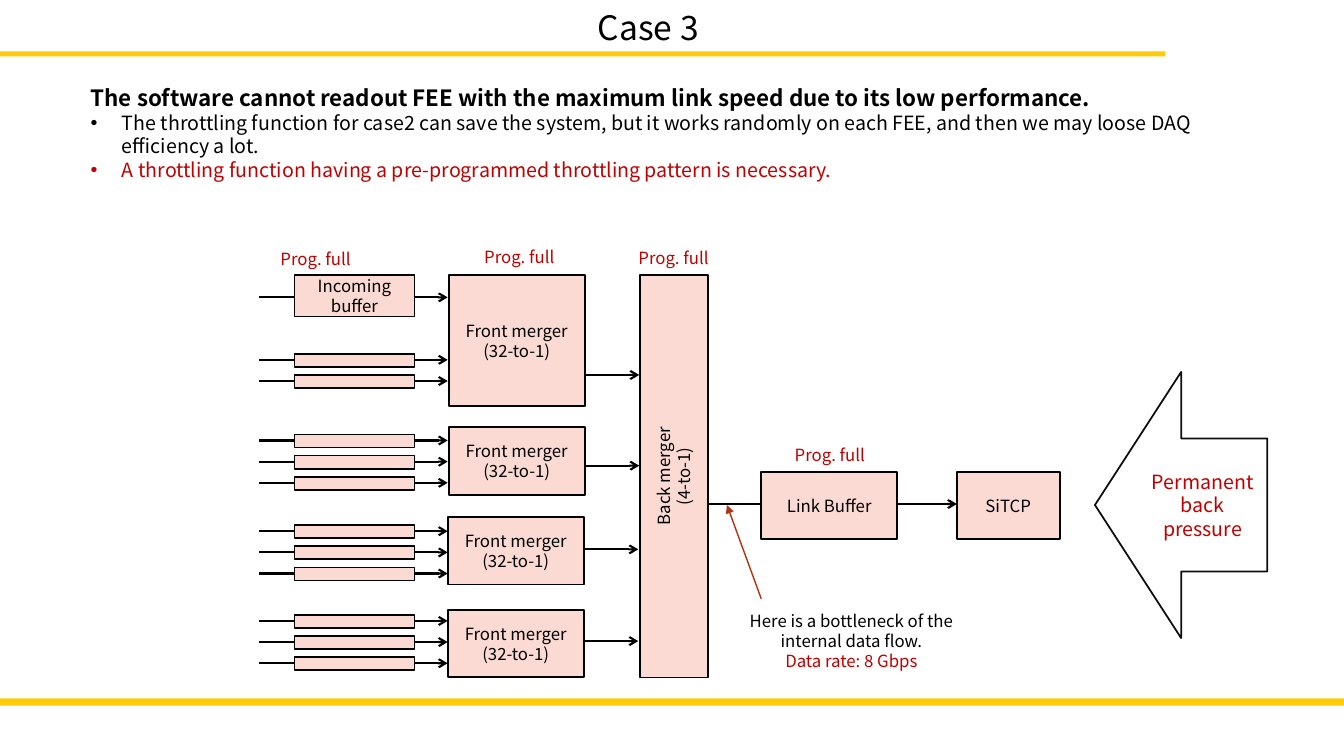
from lxml.etree import SubElement
from pptx import Presentation
from pptx.dml.color import RGBColor
from pptx.enum.shapes import MSO_CONNECTOR, MSO_SHAPE
from pptx.enum.text import MSO_ANCHOR, MSO_AUTO_SIZE, PP_ALIGN
from pptx.oxml.ns import qn
from pptx.util import Inches, Pt

BLACK, RED, PINK, GOLD = "000000", "C00000", "FADAD3", "FFCA08"


def tint(code):
    return RGBColor.from_string(code)


def apply(thing, values):
    for name, value in values.items():
        setattr(thing, name, value)


class Board:
    font = "Noto Sans CJK JP"

    def __init__(self, slide):
        self.slide = slide
        self.shapes = slide.shapes

    def fill_text(self, shape, lines, size=12, color=BLACK,
                  align=PP_ALIGN.CENTER, anchor=MSO_ANCHOR.TOP):
        frame = shape.text_frame
        apply(frame, {"word_wrap": True, "auto_size": MSO_AUTO_SIZE.NONE,
                      "vertical_anchor": anchor,
                      "margin_left": Inches(0.1), "margin_right": Inches(0.1),
                      "margin_top": Inches(0.05), "margin_bottom": Inches(0.05)})
        frame.text = "\n".join(lines)
        for para in frame.paragraphs:
            apply(para, {"alignment": align, "space_before": Pt(0),
                         "space_after": Pt(0), "line_spacing": 1.0})
            self.style(para, size, color)
        return frame.paragraphs

    def style(self, para, size, color, bold=False):
        for run in para.runs:
            apply(run.font, {"name": self.font, "size": Pt(size), "bold": bold})
            run.font.color.rgb = tint(color)

    def place(self, shape, left, top, width, height):
        apply(shape, {"left": Inches(left), "top": Inches(top),
                      "width": Inches(width), "height": Inches(height)})

    def title(self, text, area):
        shape = self.shapes.title
        self.place(shape, *area)
        self.fill_text(shape, [text], 24)

    def body(self, head, items, area):
        shape = self.slide.placeholders[1]
        self.place(shape, *area)
        paras = self.fill_text(shape, [head] + [text for text, _ in items],
                               align=PP_ALIGN.LEFT)
        self.style(paras[0], 16, BLACK, True)
        self.bullet(paras[0], 0)
        for para, (_, color) in zip(paras[1:], items):
            self.style(para, 14, color)
            self.bullet(para, Inches(0.31), "•")

    def bullet(self, para, indent, mark=None):
        props = para._p.get_or_add_pPr()
        props.set("marL", str(indent))
        props.set("indent", str(-indent))
        if mark:
            SubElement(props, qn("a:buChar")).set("char", mark)
        else:
            SubElement(props, qn("a:buNone"))

    def box(self, area, lines=(), kind=MSO_SHAPE.RECTANGLE, fill=PINK,
            line=BLACK, turn=0, **look):
        shape = self.shapes.add_shape(kind, *map(Inches, area))
        shape.shadow.inherit = False
        shape.rotation = turn
        if fill:
            shape.fill.solid()
            shape.fill.fore_color.rgb = tint(fill)
        else:
            shape.fill.background()
        if line:
            shape.line.color.rgb = tint(line)
            shape.line.width = Pt(1.25)
        else:
            shape.line.fill.background()
        if lines:
            self.fill_text(shape, lines, anchor=MSO_ANCHOR.MIDDLE, **look)

    def label(self, area, lines, color=RED):
        shape = self.shapes.add_textbox(*map(Inches, area))
        return self.fill_text(shape, lines, color=color)

    def arrow(self, start, end, color=BLACK, width=1.5, head="arrow"):
        link = self.shapes.add_connector(MSO_CONNECTOR.STRAIGHT,
                                         *map(Inches, start + end))
        link.line.width = Pt(width)
        link.line.color.rgb = tint(color)
        props = link._element.spPr
        SubElement(props.find(qn("a:ln")), qn("a:tailEnd")).set("type", head)
        SubElement(props, qn("a:effectLst"))


def main():
    deck = Presentation()
    apply(deck, {"slide_width": Inches(13.33), "slide_height": Inches(7.5)})
    board = Board(deck.slides.add_slide(deck.slide_layouts[1]))

    for area in ((0, 6.93, 13.33, 0.07), (0, 0.51, 11.56, 0.05)):
        board.box(area, fill=GOLD, line=None)
    board.title("Case 3", (2.89, 0.02, 7.08, 0.5))
    board.body(
        "The software cannot readout FEE with the maximum link speed due to its low performance.",
        [("The throttling function for case2 can save the system, but it works randomly "
          "on each FEE, and then we may loose DAQ efficiency a lot.", BLACK),
         ("A throttling function having a pre-programmed throttling pattern is necessary.", RED)],
        (0.8, 0.78, 11.44, 1.08))

    board.arrow((2.57, 2.95), (4.44, 2.95))
    board.box((2.92, 2.73, 1.19, 0.41), ["Incoming", "buffer"])
    for first, count in ((3.57, 2), (4.37, 3), (5.27, 3), (6.16, 3)):
        for row in range(count):
            y = first + 0.21 * row
            board.arrow((2.57, y), (4.44, y))
            board.box((2.92, y - 0.06, 1.19, 0.13))

    mergers = ((4.45, 2.73, 1.3, 3.72), (4.45, 4.24, 0.67, 4.62),
               (4.44, 5.13, 0.67, 5.45), (4.44, 6.05, 0.67, 6.36))
    for left, top, height, out in mergers:
        board.box((left, top, 1.35, height), ["Front merger", "(32-to-1)"])
        board.arrow((left + 1.35, out), (left + 1.89, out))
    board.box((4.69, 4.39, 3.99, 0.67), ["Back merger", "(4-to-1)"], turn=270)

    board.arrow((7.02, 5), (9.49, 5))
    board.box((7.55, 4.68, 1.35, 0.67), ["Link Buffer"])
    board.box((9.49, 4.68, 1.02, 0.67), ["SiTCP"])
    board.box((10.86, 3.69, 1.71, 2.64), ["Permanent back pressure"],
              kind=MSO_SHAPE.LEFT_ARROW, fill=None, line="0D0D0D",
              size=14, color=RED)

    for left, top in ((2.42, 2.42), (4.44, 2.4), (5.97, 2.41), (7.52, 4.36)):
        board.label((left, top, 1.42, 0.3), ["Prog. full"])
    note = board.label((7.11, 6.01, 2.67, 0.71),
                       ["Here is a bottleneck of the internal data flow.",
                        "Data rate: 8 Gbps"], BLACK)
    board.style(note[1], 12, RED)
    board.arrow((7.55, 5.94), (7.21, 5.01), "B23214", 1, "triangle")

    deck.save("out.pptx")


if __name__ == "__main__":
    main()
